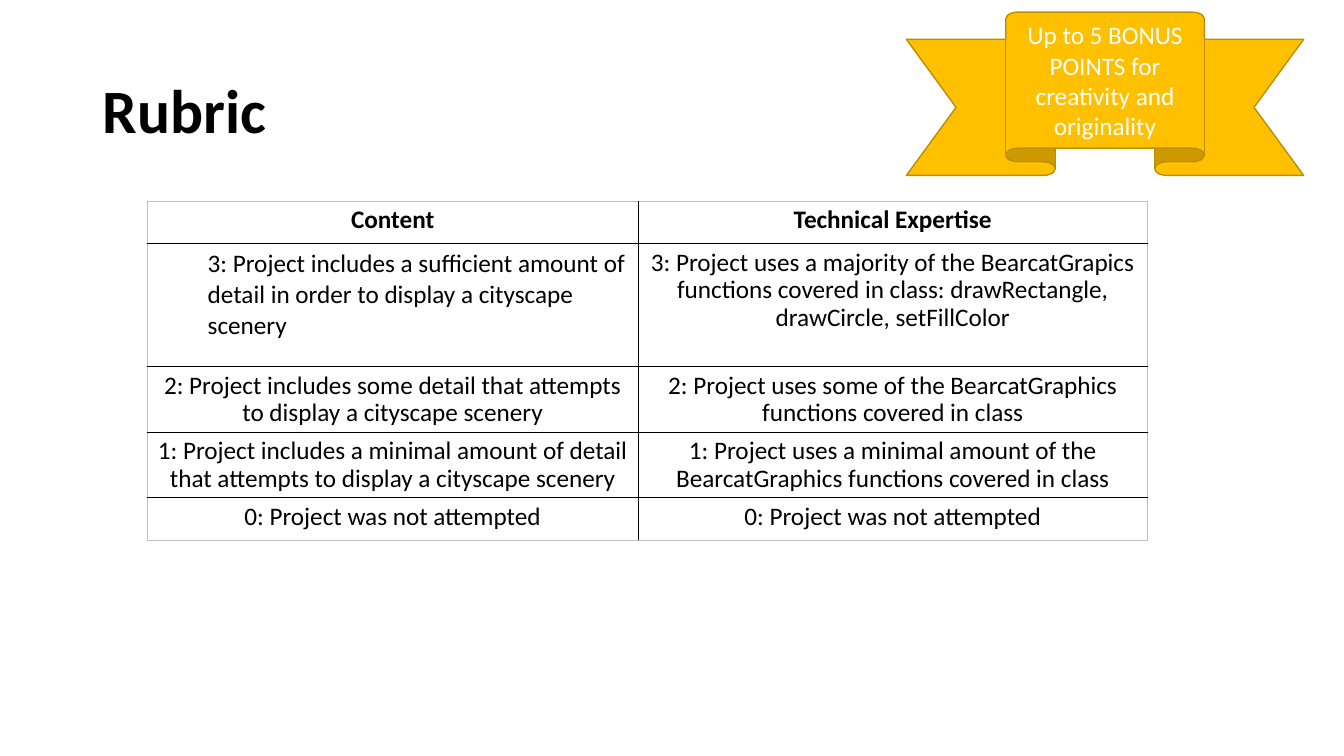
from lxml import etree
from pptx import Presentation
from pptx import util as u
from pptx.dml.color import RGBColor
from pptx.enum import shapes, text
from pptx.oxml.ns import qn

COLORS = {"ink": "000000", "paper": "FFFFFF", "frame": "BFBFBF", "gold": "FFC000", "gold_edge": "BD8E00"}
RUBRIC = [
    ("Content", "Technical Expertise"),
    ("3: Project includes a sufficient amount of detail in order to display a cityscape scenery",
     "3: Project uses a majority of the BearcatGrapics functions covered in class: "
     "drawRectangle, drawCircle, setFillColor"),
    ("2: Project includes some detail that attempts to display a cityscape scenery",
     "2: Project uses some of the BearcatGraphics functions covered in class"),
    ("1: Project includes a minimal amount of detail that attempts to display a cityscape scenery",
     "1: Project uses a minimal amount of the BearcatGraphics functions covered in class"),
    ("0: Project was not attempted", "0: Project was not attempted"),
]
COLUMN_WIDTHS = [4.87, 5.05]
ROW_HEIGHTS = [0.42, 1.22, 0.65, 0.65, 0.42]
INDENTED_CELL = (1, 0)


class RubricSlide:
    """Holds the text style and the current slide, and adds its elements."""

    def __init__(self, presentation, font="Calibri"):
        self.font = font
        self.slide = presentation.slides.add_slide(presentation.slide_layouts[5])

    def set_text(self, frame, words, size=18, color="ink", bold=False, align=text.PP_ALIGN.CENTER, spacing=None):
        frame.text = words
        frame.word_wrap = True
        paragraph = frame.paragraphs[0]
        paragraph.alignment = align
        paragraph.line_spacing = spacing
        font = paragraph.runs[0].font
        font.name, font.size, font.bold = self.font, u.Pt(size), bold
        font.color.rgb = RGBColor.from_string(COLORS[color])
        return paragraph

    def title(self, words, box):
        shape = self.slide.shapes.title
        shape.left, shape.top, shape.width, shape.height = map(u.Inches, box)
        frame = shape.text_frame
        self.set_text(frame, words, 44, bold=True, align=text.PP_ALIGN.LEFT, spacing=0.9)
        frame.auto_size = text.MSO_AUTO_SIZE.NONE
        frame.vertical_anchor = text.MSO_ANCHOR.MIDDLE

    def ribbon(self, words, box):
        shape = self.slide.shapes.add_shape(shapes.MSO_SHAPE.UP_RIBBON, *map(u.Inches, box))
        shape.shadow.inherit = False
        shape.fill.solid()
        shape.fill.fore_color.rgb = RGBColor.from_string(COLORS["gold"])
        shape.line.color.rgb = RGBColor.from_string(COLORS["gold_edge"])
        shape.line.width = u.Pt(1)
        shape.text_frame.vertical_anchor = text.MSO_ANCHOR.MIDDLE
        self.set_text(shape.text_frame, words, color="paper")

    def borders(self, cell, edges):
        properties = cell._tc.get_or_add_tcPr()
        for position, (side, color) in enumerate(edges.items()):
            line = etree.Element(qn(f"a:ln{side}"), w=str(u.Pt(1)))
            fill = etree.SubElement(line, qn("a:solidFill"))
            etree.SubElement(fill, qn("a:srgbClr"), val=COLORS[color])
            properties.insert(position, line)

    def table(self, rows, left, top, widths, heights):
        box = map(u.Inches, (left, top, sum(widths), sum(heights)))
        table = self.slide.shapes.add_table(len(rows), len(widths), *box).table
        table.first_row = table.horz_banding = False
        for column, width in zip(table.columns, widths):
            column.width = u.Inches(width)
        for r, (row, height) in enumerate(zip(rows, heights)):
            table.rows[r].height = u.Inches(height)
            for c, words in enumerate(row):
                cell = table.cell(r, c)
                cell.fill.background()
                outer = {"L": c == 0, "R": c == len(widths) - 1, "T": r == 0, "B": r == len(rows) - 1}
                self.borders(cell, {side: "frame" if edge else "ink" for side, edge in outer.items()})
                if (r, c) == INDENTED_CELL:
                    paragraph = self.set_text(cell.text_frame, words, align=text.PP_ALIGN.LEFT)
                    paragraph.level = 1
                    properties = paragraph._p.get_or_add_pPr()
                    properties.set("marL", str(u.Inches(0.5)))
                    properties.set("indent", "0")
                else:
                    self.set_text(cell.text_frame, words, bold=r == 0, spacing=0.9)


def main():
    presentation = Presentation()
    presentation.slide_width, presentation.slide_height = u.Inches(13.33), u.Inches(7.5)
    rubric = RubricSlide(presentation)
    rubric.title("Rubric", (0.92, 0.4, 11.5, 1.45))
    rubric.table(RUBRIC, 1.46, 2, COLUMN_WIDTHS, ROW_HEIGHTS)
    rubric.ribbon("Up to 5 BONUS POINTS for creativity and originality", (8.99, 0.12, 3.94, 1.62))
    presentation.save("out.pptx")


if __name__ == "__main__":
    main()
